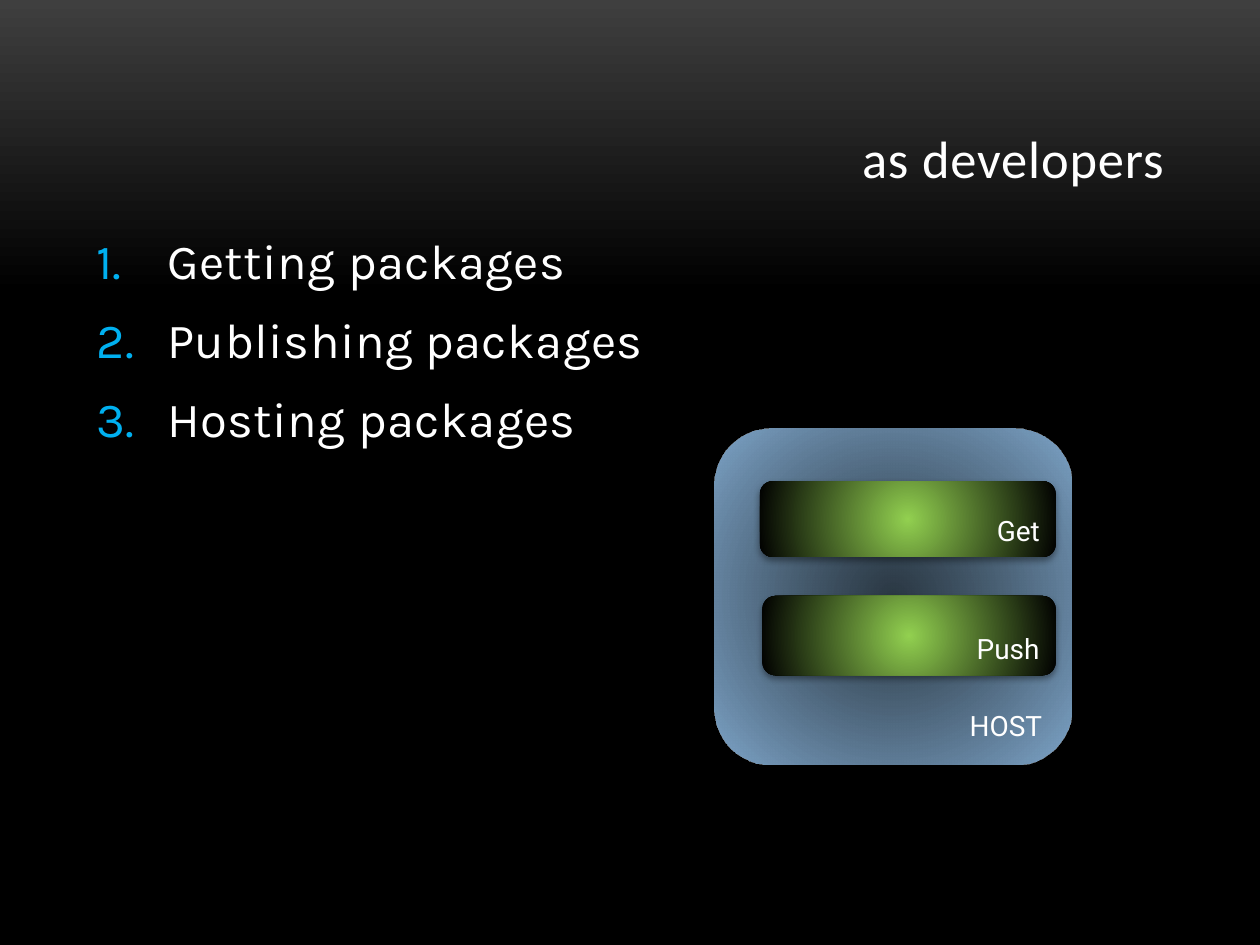
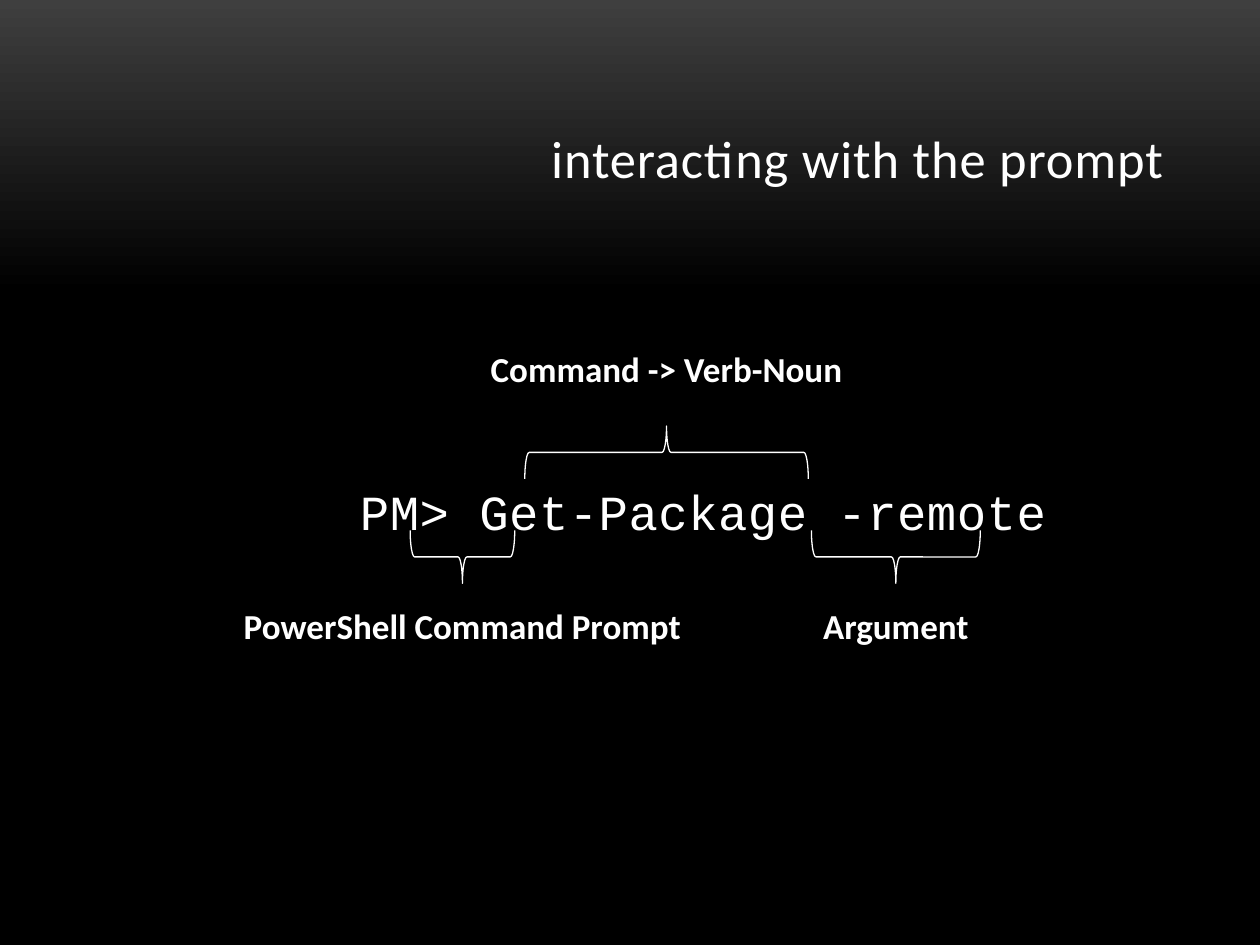
from lxml import etree
from pptx import Presentation
from pptx import util as u
from pptx.dml import color
from pptx.enum import shapes, text
from pptx.oxml import ns, parse_xml

COLORS = {
    "white": "FFFFFF", "black": "000000", "charcoal": "3F3F3F",
    "number": "00B0F0", "slate": "577289", "sky": "7FA6CA", "green": "92D050",
}
TITLE = {"size": u.Pt(30), "name": "Calibri"}
ITEM = {"size": u.Pt(28), "name": "Karla"}
COMMAND = {"size": u.Pt(28), "name": "Courier New"}
LABEL = {"size": u.Pt(20), "name": "Calibri", "bold": True}
BLOCK = {"size": u.Pt(16), "name": "Roboto"}
TITLE_BOX = (0.67, 0.3, 8.67, 1.25)
DOWNWARD = '<a:lin ang="5400000" scaled="0"/>'
RADIAL = '<a:path path="circle"><a:fillToRect l="50000" t="50000" r="50000" b="50000"/></a:path>'


def assign(target, formats):
    for name, value in formats.items():
        setattr(target, name, value)


def inches(box):
    return [u.Inches(value) for value in box]


def element(tag, content="", attributes=""):
    return parse_xml(f'<a:{tag} {ns.nsdecls("a")} {attributes}>{content}</a:{tag}>')


def paint_gradient(fill, owner, stops, direction):
    fill.gradient()
    marks = "".join(
        f'<a:gs pos="{pos * 1000}"><a:srgbClr val="{COLORS[name]}">'
        f'<a:alpha val="{alpha * 1000}"/></a:srgbClr></a:gs>'
        for pos, name, alpha in stops)
    blank = owner.find(f".//{ns.qn('a:gradFill')}")
    blank.getparent().replace(
        blank, element("gradFill", f"<a:gsLst>{marks}</a:gsLst>{direction}", 'rotWithShape="1"'))


def write(paragraph, words, font, align=text.PP_ALIGN.LEFT, spacing=0):
    run = paragraph.add_run()
    run.text = words
    assign(run.font, font)
    run.font.color.rgb = color.RGBColor.from_string(COLORS["white"])
    paragraph.alignment = align
    if spacing:
        run._r.get_or_add_rPr().set("spc", str(spacing))


def add_text_frame(slide, box, **formats):
    frame = slide.shapes.add_textbox(*inches(box)).text_frame
    assign(frame, {"word_wrap": True, **formats})
    return frame


def add_titled_slide(prs, title):
    slide = prs.slides.add_slide(prs.slide_layouts[6])
    paint_gradient(slide.background.fill, slide._element,
                   [(0, "charcoal", 100), (31, "black", 100), (100, "black", 100)], DOWNWARD)
    frame = add_text_frame(slide, TITLE_BOX, vertical_anchor=text.MSO_ANCHOR.BOTTOM)
    write(frame.paragraphs[0], title, TITLE, text.PP_ALIGN.RIGHT, 50)
    return slide


def add_numbered_list(slide, box, items):
    frame = add_text_frame(slide, box, margin_top=u.Inches(0.08))
    indent = u.Inches(0.56)
    for index, item in enumerate(items):
        paragraph = frame.add_paragraph() if index else frame.paragraphs[0]
        properties = paragraph._p.get_or_add_pPr()
        properties.set("marL", str(indent))
        properties.set("indent", str(-indent))
        properties.append(element("buClr", f'<a:srgbClr val="{COLORS["number"]}"/>'))
        etree.SubElement(properties, ns.qn("a:buAutoNum"), type="arabicPeriod")
        paragraph.space_after = u.Pt(6)
        if index:
            paragraph.space_before = u.Pt(5.6)
        write(paragraph, item, ITEM, spacing=30)


def add_block(group, box, name, stops):
    block = group.shapes.add_shape(shapes.MSO_SHAPE.ROUNDED_RECTANGLE, *inches(box))
    paint_gradient(block.fill, block._element, stops, RADIAL)
    block.line.fill.background()
    block.shadow.inherit = False
    shadow = element(
        "outerShdw",
        f'<a:srgbClr val="{COLORS["black"]}"><a:alpha val="40000"/></a:srgbClr>',
        f'blurRad="{u.Pt(4)}" dist="{u.Pt(2)}" dir="5400000" rotWithShape="0"')
    block._element.spPr.find(ns.qn("a:effectLst")).append(shadow)
    block.text_frame.vertical_anchor = text.MSO_ANCHOR.BOTTOM
    write(block.text_frame.paragraphs[0], name, BLOCK, text.PP_ALIGN.RIGHT)


def add_host(slide, box):
    left, top, _, _ = box
    host = slide.shapes.add_group_shape()
    add_block(host, box, "HOST", [(0, "slate", 50), (100, "sky", 100)])
    services = [("Push", 0.38, 1.33, 2.33, 0.63), ("Get", 0.36, 0.42, 2.35, 0.6)]
    for name, dx, dy, width, height in services:
        add_block(host, (left + dx, top + dy, width, height), name,
                  [(0, "green", 100), (100, "black", 100)])


def add_brace(slide, center, y, span, rotation):
    depth = 0.42
    brace = slide.shapes.add_shape(
        shapes.MSO_SHAPE.RIGHT_BRACE,
        *inches((center - depth / 2, y - span / 2, depth, span)))
    brace.rotation = rotation
    brace.shadow.inherit = False
    brace.fill.background()
    brace.line.color.rgb = color.RGBColor.from_string(COLORS["white"])
    brace.line.width = u.Pt(0.75)


def add_command_anatomy(slide, box):
    left, top, _, _ = box
    frame = add_text_frame(slide, box, margin_top=u.Inches(0.11))
    write(frame.paragraphs[0], "PM> Get-Package -remote", COMMAND, text.PP_ALIGN.CENTER, 30)
    above, below = (-1, -0.12, 270), (1.04, 0.71, 90)
    parts = [
        ("PowerShell Command Prompt", 2.42, 0.83, 6.67, below),
        ("Command -> Verb-Noun", 4.04, 2.25, 4.29, above),
        ("Argument", 5.86, 1.34, 2.67, below),
    ]
    for name, dx, span, width, (label_dy, brace_dy, rotation) in parts:
        center = left + dx
        label = add_text_frame(slide, (center - width / 2, top + label_dy, width, 0.58))
        write(label.paragraphs[0], name, LABEL, text.PP_ALIGN.CENTER)
        add_brace(slide, center, top + brace_dy, span, rotation)


def main():
    prs = Presentation()
    prs.slide_width, prs.slide_height = u.Inches(10), u.Inches(7.5)

    developers = add_titled_slide(prs, "as developers")
    add_numbered_list(developers, (0.67, 1.75, 4.83, 2.5),
                      ["Getting packages", "Publishing packages", "Hosting packages"])
    add_host(developers, (5.67, 3.4, 2.83, 2.67))

    prompt = add_titled_slide(prs, "interacting with the prompt")
    add_command_anatomy(prompt, (1.25, 3.71, 8.67, 0.58))

    prs.save("out.pptx")


if __name__ == "__main__":
    main()
